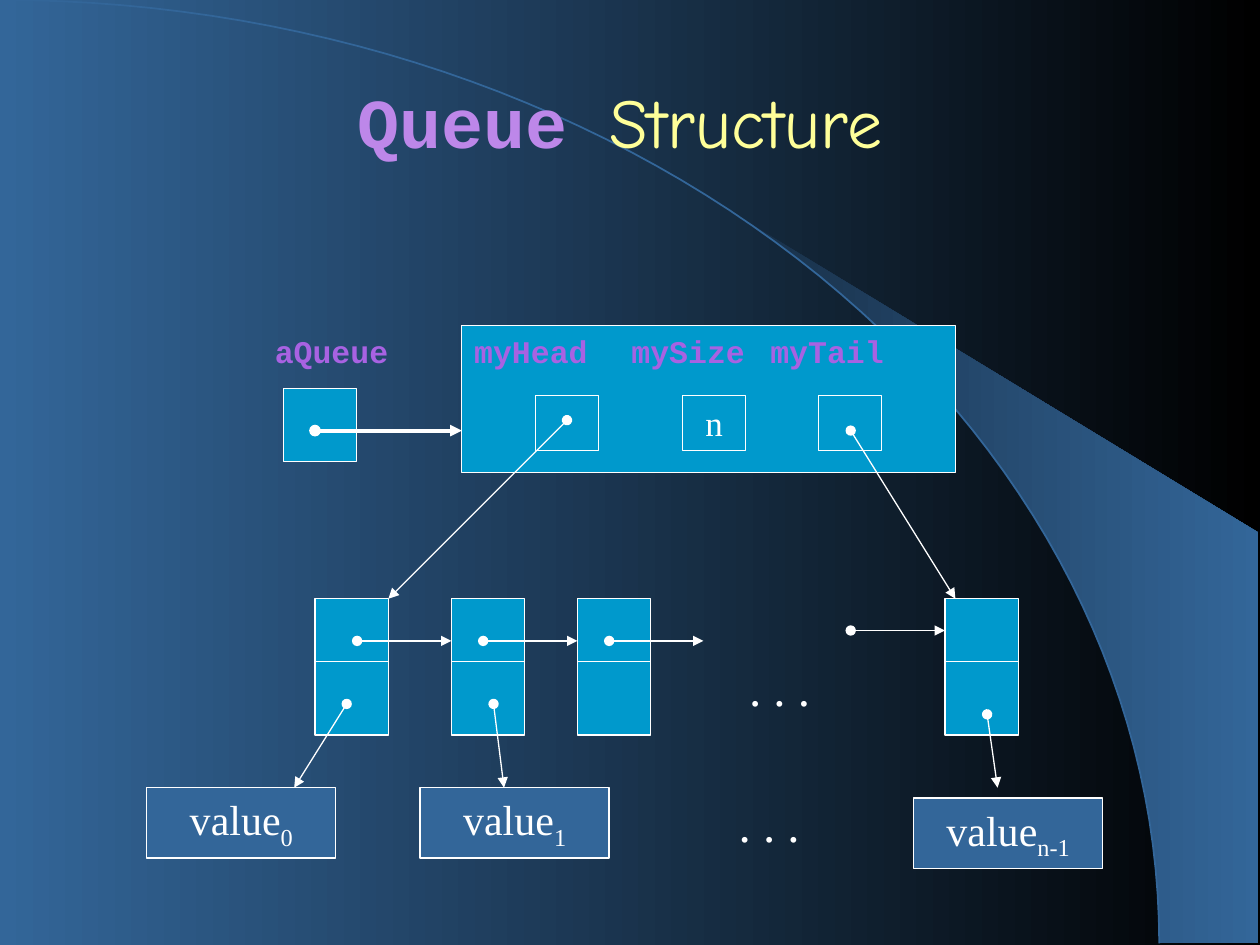
import math
from pptx import Presentation, util as u
from pptx.dml.color import RGBColor
from pptx.enum import shapes, text
from pptx.oxml import ns
from lxml import etree

Cm, Pt = u.Cm, u.Pt
WHITE = RGBColor(0xFF, 0xFF, 0xFF)
BLACK = RGBColor(0, 0, 0)
STEEL = RGBColor(0x33, 0x66, 0x99)
NAVY = RGBColor(0x18, 0x2F, 0x47)
CYAN = RGBColor(0x00, 0x99, 0xCC)
LILAC = RGBColor(0xBD, 0x87, 0xE9)
VIOLET = RGBColor(0xA8, 0x62, 0xE2)
YELLOW = RGBColor(0xFF, 0xFF, 0x99)

CODE = {"name": "Courier New", "size": Pt(18), "bold": True}
SERIF = {"name": "Times New Roman", "size": Pt(24), "bold": False}
NODE_W, NODE_H, NODE_SPLIT = 1.48, 2.75, 1.27


def gradient(fill, start, end):
    """Fill with a left-to-right gradient."""
    fill.gradient()
    fill.gradient_angle = 0
    for stop, color in zip(fill.gradient_stops, (start, end)):
        stop.color.rgb = color


def add_run(p, words, color, fmt):
    """Append a formatted run to a paragraph."""
    r = p.add_run()
    r.text = words
    r.font.color.rgb = color
    for name, value in fmt.items():
        setattr(r.font, name, value)
    return r


def set_frame(sp, before=0, **fmt):
    """Prepare a text frame and return its first paragraph."""
    tf = sp.text_frame
    frame = {"word_wrap": True, "vertical_anchor": text.MSO_ANCHOR.TOP, **fmt}
    for name, value in frame.items():
        setattr(tf, name, value)
    p = tf.paragraphs[0]
    p.space_before = Pt(before)
    return p


def add_box(parent, x, y, w, h, color=CYAN):
    """Draw a filled rectangle with a thin white outline."""
    sp = parent.add_shape(shapes.MSO_SHAPE.RECTANGLE, Cm(x), Cm(y), Cm(w), Cm(h))
    sp.shadow.inherit = False
    sp.fill.solid()
    sp.fill.fore_color.rgb = color
    sp.line.color.rgb = WHITE
    sp.line.width = Pt(0.75)
    return sp


def add_line(parent, x1, y1, x2, y2, width=0.75, ends=()):
    """Draw a white line, with optional end marks."""
    line = parent.add_connector(shapes.MSO_CONNECTOR.STRAIGHT, Cm(x1), Cm(y1), Cm(x2), Cm(y2))
    line.line.color.rgb = WHITE
    line.line.width = Pt(width)
    props = line.element.spPr
    for tag, kind in ends:
        etree.SubElement(props.get_or_add_ln(), ns.qn(tag), type=kind)
    etree.SubElement(props, ns.qn("a:effectLst"))


def add_pointer(parent, x1, y1, x2, y2, width=0.75):
    """Draw a pointer from a dot to an arrowhead."""
    ends = (("a:headEnd", "oval"), ("a:tailEnd", "triangle"))
    add_line(parent, x1, y1, x2, y2, width, ends)


def add_backdrop(s, w, h):
    """Draw the background gradient, the swoosh and the arc."""
    gradient(s.background.fill, STEEL, BLACK)
    rx, ry, steps = w - 2.03, h - 0.03, 60

    def arc(start):
        angles = [start + (math.pi / 2 - start) * i / steps for i in range(steps + 1)]
        return [(Cm(rx * math.sin(a)), Cm(ry * (1 - math.cos(a)))) for a in angles]

    edge = arc(math.asin(0.64))
    right = Cm(w - 0.03)
    outline = edge[1:] + [(right, Cm(ry)), (right, Cm(10.74))]
    curve = arc(0)
    for start, points, closed in ((edge[0], outline, True), (curve[0], curve[1:], False)):
        builder = s.shapes.build_freeform(*start)
        builder.add_line_segments(points, close=closed)
        sp = builder.convert_to_shape()
        sp.shadow.inherit = False
        if closed:
            gradient(sp.fill, NAVY, STEEL)
            sp.line.fill.background()
        else:
            sp.fill.background()
            sp.line.color.rgb = STEEL
            sp.line.width = Pt(1)


def add_title(s, x, y, w, h):
    """Place the two-font title."""
    sp = s.shapes.add_textbox(Cm(x), Cm(y), Cm(w), Cm(h))
    p = set_frame(sp, vertical_anchor=text.MSO_ANCHOR.MIDDLE)
    p.alignment = text.PP_ALIGN.CENTER
    add_run(p, "Queue ", LILAC, {**CODE, "size": Pt(40)})
    add_run(p, "Structure", YELLOW, {"name": "Comic Neue", "size": Pt(40), "bold": False})


def add_variable(s, x, y):
    """Place the queue variable and its label."""
    add_box(s.shapes, x, y, NODE_W, NODE_W)
    sp = s.shapes.add_textbox(Cm(x - 0.42), Cm(y - 1.27), Cm(3.81), Cm(1.02))
    add_run(set_frame(sp, 11.2), "aQueue", VIOLET, CODE)


def add_queue(s, x, y, w, h):
    """Place the queue object with its three fields."""
    add_box(s.shapes, x, y, w, h)
    sp = s.shapes.add_textbox(Cm(x), Cm(y), Cm(w + 0.42), Cm(1.12))
    p = set_frame(sp, 11.2)
    tabs = etree.SubElement(p._p.get_or_add_pPr(), ns.qn("a:tabLst"))
    for stop in (3.17, 5.97):
        etree.SubElement(tabs, ns.qn("a:tab"), pos=str(Cm(stop)), algn="l")
    add_run(p, "myHead\tmySize\tmyTail", VIOLET, CODE)
    for dx, words in ((1.48, ""), (4.45, "n"), (7.19, "")):
        cell = add_box(s.shapes, x + dx, y + 1.41, 1.27, 1.12)
        if words:
            p = set_frame(cell, 12.5)
            p.alignment = text.PP_ALIGN.CENTER
            add_run(p, words, WHITE, {**SERIF, "size": Pt(20)})


def add_node(s, x, y):
    """Place one list node as a group of a box and a divider."""
    group = s.shapes.add_group_shape().shapes
    add_box(group, x, y, NODE_W, NODE_H)
    add_line(group, x, y + NODE_SPLIT, x + NODE_W, y + NODE_SPLIT)


def add_value(s, x, y, index):
    """Place a value box with a subscript index."""
    p = set_frame(add_box(s.shapes, x, y, 3.81, 1.42, STEEL), 15)
    p.alignment = text.PP_ALIGN.CENTER
    add_run(p, "value", WHITE, SERIF)
    add_run(p, index, WHITE, SERIF).font._element.set("baseline", "-25000")


def add_dots(s, x, y):
    """Place an ellipsis between list parts."""
    sp = s.shapes.add_textbox(Cm(x), Cm(y), Cm(2.97), Cm(1.45))
    p = set_frame(sp, 17.5, margin_left=Cm(0.71))
    add_run(p, ". . .", WHITE, {**SERIF, "size": Pt(28)})


def add_list(s, x, y):
    """Place the linked nodes, their values and their pointers."""
    for dx in (0, 2.75, 5.29, 12.7):
        add_node(s, x + dx, y)
    for dx in (0.85, 3.39, 5.93):
        add_pointer(s.shapes, x + dx, y + 0.85, x + dx + 1.9, y + 0.85)
    add_pointer(s.shapes, x + 10.8, y + 0.64, x + 12.7, y + 0.64)
    add_dots(s, x + 8.04, y + 1.06)
    add_dots(s, x + 7.83, y + 3.81)
    for dx, dy, index in ((-3.39, 3.81, "0"), (2.12, 3.81, "1"), (12.07, 4.02, "n-1")):
        add_value(s, x + dx, y + dy, index)
    for x1, y1, x2 in ((0.64, 2.12, -0.42), (3.6, 2.12, 3.81), (13.55, 2.33, 13.76)):
        add_pointer(s.shapes, x + x1, y + y1, x + x2, y + 3.81)


def main():
    """Build the slide and save it."""
    prs = Presentation()
    prs.slide_width, prs.slide_height = Cm(25.4), Cm(19.05)
    s = prs.slides.add_slide(prs.slide_layouts[6])
    add_backdrop(s, 25.4, 19.05)
    add_title(s, 1.7, 0.85, 21.59, 3.17)
    add_variable(s, 5.71, 7.83)
    add_queue(s, 9.31, 6.56, 9.95, 2.96)
    add_pointer(s.shapes, 6.35, 8.68, 9.31, 8.68, 2.25)
    add_list(s, 6.35, 12.07)
    add_pointer(s.shapes, 11.43, 8.47, 7.83, 12.07)
    add_pointer(s.shapes, 17.15, 8.68, 19.26, 12.07)
    prs.save("out.pptx")


if __name__ == "__main__":
    main()
